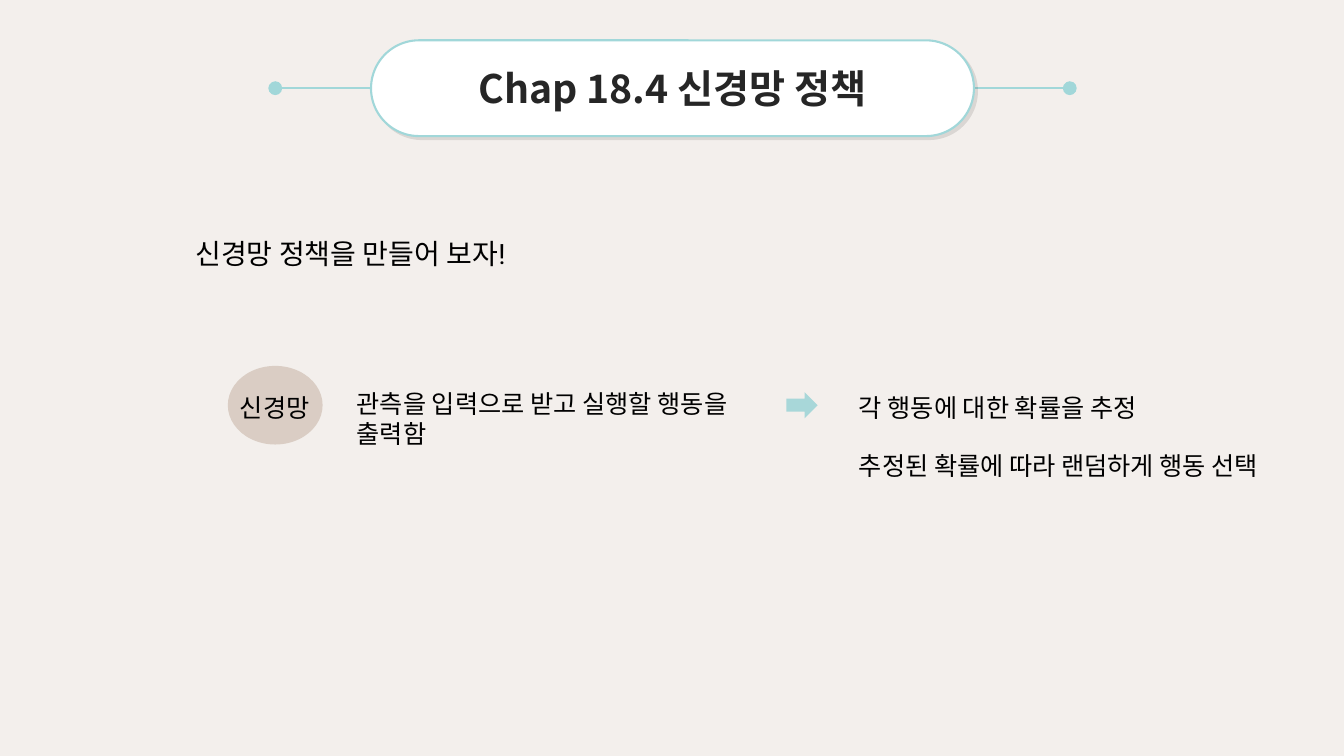
import pptx
import pptx.util
import pptx.dml.color
import pptx.enum.shapes
import pptx.enum.text
import pptx.oxml
import pptx.oxml.ns

Inches, Pt = pptx.util.Inches, pptx.util.Pt
RGB = pptx.dml.color.RGBColor.from_string
SHAPE = pptx.enum.shapes.MSO_SHAPE
ALIGN = pptx.enum.text.PP_ALIGN
ANCHOR = pptx.enum.text.MSO_ANCHOR
NS = pptx.oxml.ns.nsdecls("a")

# Content: text, left, top, width, height, type size, alignment
TITLE = "Chap 18.4 신경망 정책"
TEXTS = [
    ("신경망 정책을 만들어 보자!", 1.84, 2.3, 3.47, 0.44, "lead", ALIGN.LEFT),
    ("관측을 입력으로 받고 실행할 행동을 출력함", 3.44, 3.8, 4.31, 0.4, "body", ALIGN.LEFT),
    ("각 행동에 대한 확률을 추정", 8.42, 3.84, 3.46, 0.4, "body", ALIGN.LEFT),
    ("추정된 확률에 따라 랜덤하게 행동 선택", 8.42, 4.42, 5.17, 0.4, "body", ALIGN.LEFT),
    ("신경망", 2.18, 3.84, 1.09, 0.4, "body", ALIGN.CENTER),
]
THEME = {
    "bg": "F3EFEC", "teal": "A1D7D9", "arrow": "A8D7D9", "node": "DACDC4",
    "white": "FFFFFF", "title_ink": "262626", "ink": "000000",
    "title": 28, "lead": 20, "body": 18,
    "title_font": "Noto Sans CJK KR", "body_font": "Roboto", "korean_font": "Noto Sans CJK KR",
}

# Title pill and the line that passes behind its middle
PILL = (3.68, 0.4, 5.98, 0.95)
LINE_Y = PILL[1] + PILL[3] / 2
LINE_REACH = 0.95


def write(s, text, font, size, ink, align, bold=False):
    tf = s.text_frame
    tf.word_wrap = True
    p = tf.paragraphs[0]
    p.alignment = align
    r = p.add_run()
    r.text = text
    r.font.color.rgb = RGB(THEME[ink])
    formats = {"name": THEME[font], "size": Pt(THEME[size]), "bold": bold}
    for name, value in formats.items():
        setattr(r.font, name, value)
    latin = r.font._element.find(pptx.oxml.ns.qn("a:latin"))
    latin.addnext(pptx.oxml.parse_xml(f'<a:ea {NS} typeface="{THEME["korean_font"]}"/>'))


def add_shape(kind, box, fill):
    s = slide.shapes.add_shape(kind, *map(Inches, box))
    s.shadow.inherit = False
    s.fill.solid()
    s.fill.fore_color.rgb = RGB(THEME[fill])
    s.line.fill.background()
    return s


prs = pptx.Presentation()
prs.slide_width, prs.slide_height = Inches(13.33), Inches(7.5)
slide = prs.slides.add_slide(prs.slide_layouts[6])
slide.background.fill.solid()
slide.background.fill.fore_color.rgb = RGB(THEME["bg"])

# Line with round ends
line = slide.shapes.add_connector(
    pptx.enum.shapes.MSO_CONNECTOR.STRAIGHT,
    Inches(PILL[0] + PILL[2] + LINE_REACH), Inches(LINE_Y),
    Inches(PILL[0] - LINE_REACH), Inches(LINE_Y))
line.line.color.rgb = RGB(THEME["teal"])
line.line.width = Pt(1)
for end in ("headEnd", "tailEnd"):
    line.line._get_or_add_ln().append(
        pptx.oxml.parse_xml(f'<a:{end} {NS} type="oval" w="lg" len="lg"/>'))
line._element.spPr.append(pptx.oxml.parse_xml(f"<a:effectLst {NS}/>"))

# Title pill with a hard shadow
pill = add_shape(SHAPE.ROUNDED_RECTANGLE, PILL, "white")
pill.adjustments[0] = 0.5
pill.line.color.rgb = RGB(THEME["teal"])
pill.line.width = Pt(1.5)
effects = pill._element.spPr.find(pptx.oxml.ns.qn("a:effectLst"))
effects.append(pptx.oxml.parse_xml(
    f'<a:outerShdw {NS} blurRad="0" dist="{Pt(3)}" dir="{45 * 60000}" algn="tl" rotWithShape="0">'
    '<a:srgbClr val="000000"><a:alpha val="10000"/></a:srgbClr></a:outerShdw>'))
pill.text_frame.vertical_anchor = ANCHOR.MIDDLE
write(pill, TITLE, "title_font", "title", "title_ink", ALIGN.CENTER, True)

# Network node and arrow
add_shape(SHAPE.OVAL, (2.26, 3.63, 0.94, 0.78), "node")
add_shape(SHAPE.RIGHT_ARROW, (7.8, 3.89, 0.31, 0.26), "arrow")

# Explanations and node label
for text, x, y, w, h, size, align in TEXTS:
    s = slide.shapes.add_textbox(*map(Inches, (x, y, w, h)))
    s.text_frame.auto_size = pptx.enum.text.MSO_AUTO_SIZE.SHAPE_TO_FIT_TEXT
    write(s, text, "body_font", size, "ink", align)

prs.save("out.pptx")
